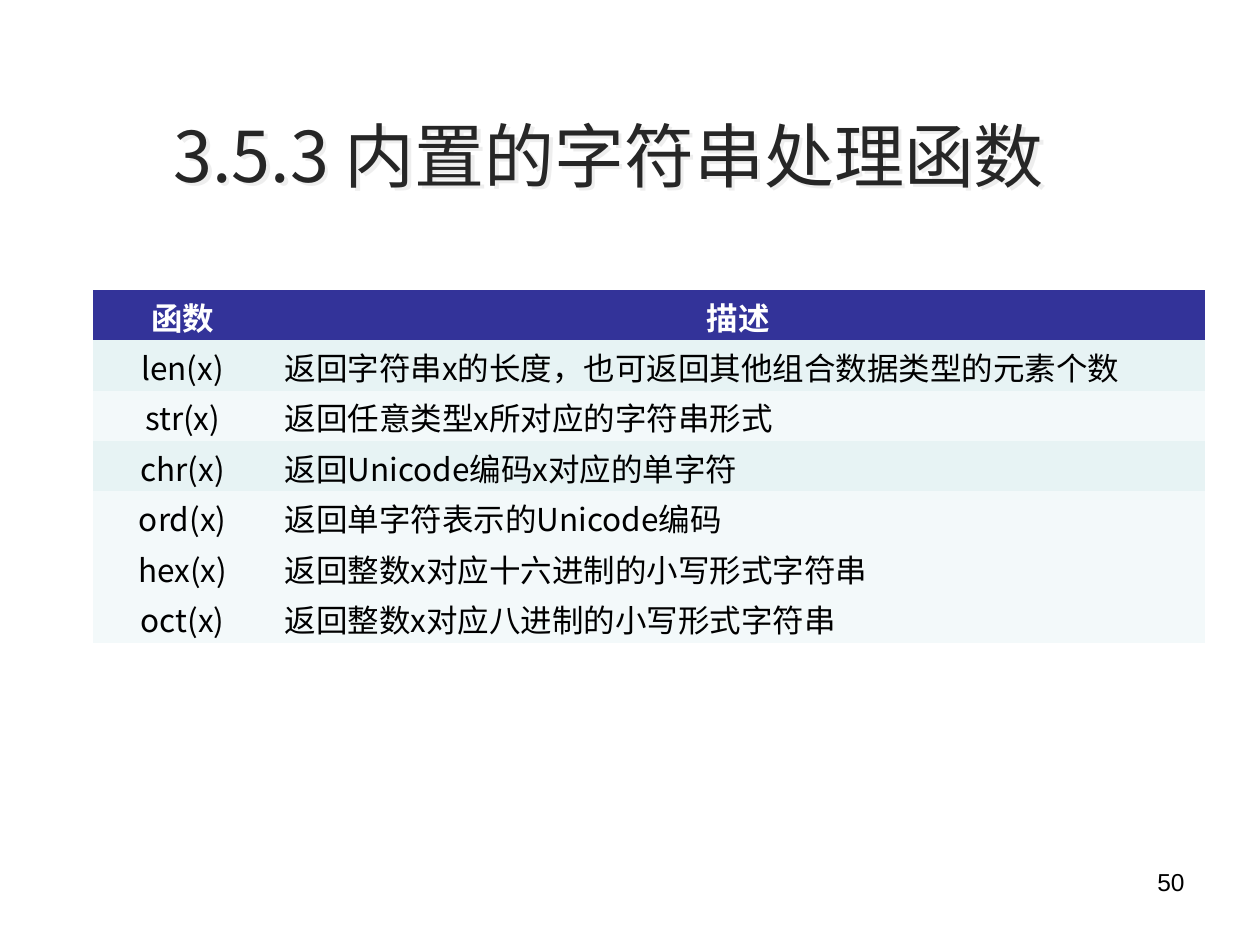
from lxml import etree
from pptx import Presentation
from pptx.dml.color import RGBColor
from pptx.enum.text import MSO_ANCHOR as Anchor, PP_ALIGN as Align
from pptx.oxml.ns import qn
from pptx.util import Inches, Pt

COLORS = {
    "title": "262626", "title_shadow": "EEEEEE", "text": "000000",
    "header": "333399", "header_text": "FFFFFF",
    "band": "E7F3F4", "plain": "F3F9FA",
}
CJK = "Noto Sans CJK SC"


def write(frame, text, size, color, align=Align.LEFT, font=CJK, bold=False):
    paragraph = frame.paragraphs[0]
    paragraph.alignment = align
    run = paragraph.add_run()
    run.text = text
    for name, value in {"size": Pt(size), "bold": bold, "name": font}.items():
        setattr(run.font, name, value)
    run.font.color.rgb = RGBColor.from_string(COLORS[color])
    etree.SubElement(run.font._element, qn("a:ea"), typeface=font)


prs = Presentation()
prs.slide_width, prs.slide_height = Inches(10), Inches(7.5)
slide = prs.slides.add_slide(prs.slide_layouts[6])

# Title with a soft shadow behind the letters
title = slide.shapes.add_textbox(Inches(1.28), Inches(0.84), Inches(7.27), Inches(0.77))
title.text_frame.word_wrap = False
title.text_frame.vertical_anchor = Anchor.MIDDLE
write(title.text_frame, "3.5.3 内置的字符串处理函数", 40, "title")
title.shadow.inherit = False
effects = title._element.spPr.find(qn("a:effectLst"))
shadow = etree.SubElement(effects, qn("a:outerShdw"), dist=str(Inches(0.04)), dir="2700000")
etree.SubElement(shadow, qn("a:srgbClr"), val=COLORS["title_shadow"])

# Table of built-in functions: name, description, row fill
functions = [
    ("函数", "描述", "header"),
    ("len(x)", "返回字符串x的长度，也可返回其他组合数据类型的元素个数", "band"),
    ("str(x)", "返回任意类型x所对应的字符串形式", "plain"),
    ("chr(x)", "返回Unicode编码x对应的单字符", "band"),
    ("ord(x)", "返回单字符表示的Unicode编码", "plain"),
    ("hex(x)", "返回整数x对应十六进制的小写形式字符串", "plain"),
    ("oct(x)", "返回整数x对应八进制的小写形式字符串", "plain"),
]
row_height = Inches(0.4)
table = slide.shapes.add_table(
    len(functions), 2, Inches(0.74), Inches(2.3), Inches(8.82), row_height * len(functions)
).table
for column, width in zip(table.columns, (1.42, 7.4)):
    column.width = Inches(width)

for row, (name, description, fill) in enumerate(functions):
    table.rows[row].height = row_height
    is_header = fill == "header"
    for col, text in enumerate((name, description)):
        cell = table.cell(row, col)
        cell.margin_top, cell.margin_bottom = Inches(0.03), 0
        cell.fill.solid()
        cell.fill.fore_color.rgb = RGBColor.from_string(COLORS[fill])
        # Noborder lines keep the bands seamless
        for side in ("a:lnB", "a:lnT", "a:lnR", "a:lnL"):
            line = etree.Element(qn(side), w="0")
            etree.SubElement(line, qn("a:noFill"))
            cell._tc.tcPr.insert(0, line)
        write(cell.text_frame, text, 18, "header_text" if is_header else "text",
              Align.CENTER if is_header or col == 0 else Align.LEFT, bold=is_header)

# Page number
page = slide.shapes.add_textbox(Inches(7.17), Inches(6.83), Inches(2.33), Inches(0.52))
page.text_frame.word_wrap = True
write(page.text_frame, "50", 14, "text", Align.RIGHT, font="Arial")

prs.save("out.pptx")
